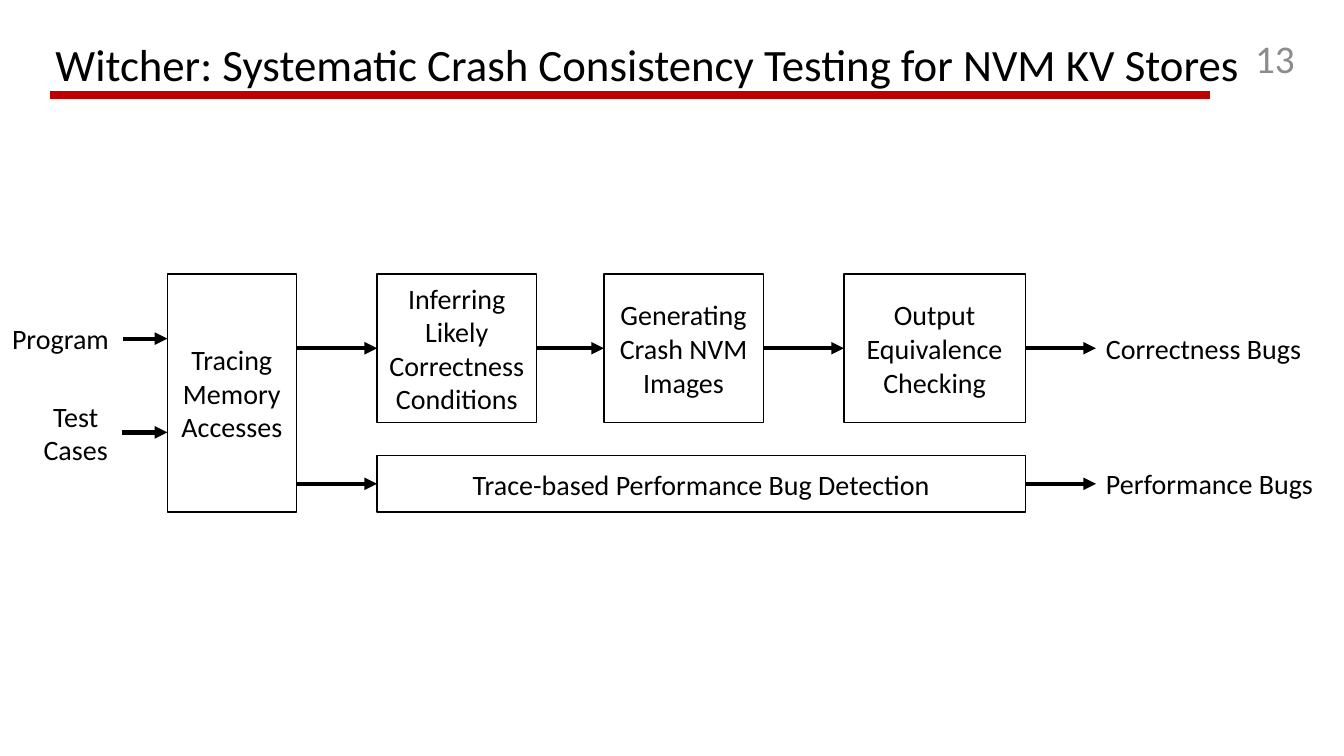
import pptx
import pptx.util
import pptx.dml.color
import pptx.enum.shapes
import pptx.enum.text
import pptx.oxml.ns
import lxml.etree

COLS, ROWS = 133.3, 75  # grid cells across and down the slide
ALIGN = pptx.enum.text.PP_ALIGN
ANCHOR = pptx.enum.text.MSO_ANCHOR
FIT = pptx.enum.text.MSO_AUTO_SIZE


def color(value):
    return pptx.dml.color.RGBColor.from_string(value)


class Diagram:
    font, ink, paper = "Calibri", "000000", "FFFFFF"
    size = 20

    def __init__(self, prs):
        self.slide = prs.slides.add_slide(prs.slide_layouts[5])
        self.shapes = self.slide.shapes
        self.col = prs.slide_width / COLS
        self.row = prs.slide_height / ROWS

    def grid(self, *cells):
        """Turn alternating columns and rows into slide lengths."""
        return [round(c * (self.row if i % 2 else self.col)) for i, c in enumerate(cells)]

    def set_text(self, sp, text, align, anchor, size=None, ink=None, fit=FIT.NONE):
        tf = sp.text_frame
        tf.text = text
        tf.word_wrap = True
        tf.auto_size = fit
        tf.vertical_anchor = anchor
        for p in tf.paragraphs:
            p.alignment = align
            p.font.name = self.font
            p.font.size = pptx.util.Pt(size or self.size)
            p.font.color.rgb = color(ink or self.ink)

    def title(self, text, *cells):
        sp = self.shapes.title
        sp.left, sp.top, sp.width, sp.height = self.grid(*cells)
        self.set_text(sp, text, ALIGN.LEFT, ANCHOR.BOTTOM, size=32)
        sp.text_frame.paragraphs[0].line_spacing = 0.9

    def label(self, text, cells, align=ALIGN.LEFT, anchor=ANCHOR.TOP, **style):
        sp = self.shapes.add_textbox(*self.grid(*cells))
        self.set_text(sp, text, align, anchor, **style)

    def box(self, text, *cells):
        sp = self.shapes.add_shape(pptx.enum.shapes.MSO_SHAPE.RECTANGLE, *self.grid(*cells))
        sp.shadow.inherit = False
        sp.fill.solid()
        sp.fill.fore_color.rgb = color(self.paper)
        sp.line.color.rgb = color(self.ink)
        sp.line.width = pptx.util.Pt(1)
        self.set_text(sp, text, ALIGN.CENTER, ANCHOR.MIDDLE)
        return sp

    def line(self, x1, x2, y, ink=None, width=3):
        sp = self.shapes.add_connector(
            pptx.enum.shapes.MSO_CONNECTOR.STRAIGHT, *self.grid(x1, y, x2, y))
        sp.line.color.rgb = color(ink or self.ink)
        sp.line.width = pptx.util.Pt(width)
        lxml.etree.SubElement(sp._element.spPr, pptx.oxml.ns.qn("a:effectLst"))
        return sp

    def arrow(self, x1, x2, y, start=None, end=None):
        sp = self.line(x1, x2, y)
        ln = sp._element.spPr.find(pptx.oxml.ns.qn("a:ln"))
        lxml.etree.SubElement(ln, pptx.oxml.ns.qn("a:tailEnd"), type="triangle")
        if start:
            sp.begin_connect(start, 3)
        if end:
            sp.end_connect(end, 1)


def main():
    prs = pptx.Presentation()
    prs.slide_width = pptx.util.Inches(13.33)
    prs.slide_height = pptx.util.Inches(7.5)
    d = Diagram(prs)

    # Heading, rule and slide number
    d.line(5, 120, 9.4, ink="C00000", width=6)
    d.title("Witcher: Systematic Crash Consistency Testing for NVM KV Stores", 4.5, 4, 120, 5.6)
    d.label("13", (121.7, 2.6, 7.7, 6.3), ALIGN.RIGHT, ANCHOR.MIDDLE, size=28, ink="8C8C8C")

    # Inputs and tracing
    trace_left, trace_right, top, bottom = 16.6, 29.4, 27.2, 50.8
    d.box("Tracing\nMemory\nAccesses", trace_left, top, trace_right - trace_left, bottom - top)
    inputs = [("Program", (-0.2, 31.4, 12.4, 4.4), 33.6),
              ("Test Cases", (2.9, 39.1, 9.2, 7.7), 42.9)]
    for text, cells, y in inputs:
        d.label(text, cells, ALIGN.CENTER, fit=FIT.SHAPE_TO_FIT_TEXT)
        d.arrow(cells[0] + cells[2], trace_left, y)

    # Two pipelines of (text, left, width), each ending in a kind of bug
    steps = [("Inferring Likely Correctness Conditions", 37.4, 15.8),
             ("Generating Crash NVM Images", 59.9, 15.8),
             ("Output Equivalence Checking", 83.7, 18)]
    detection = [("Trace-based Performance Bug Detection", 37.4, 64.3)]
    bugs_left = 108.7
    pipelines = [(steps, top, 14.7, "Correctness Bugs", 21.7),
                 (detection, 45.2, 5.6, "Performance Bugs", 24.5)]
    for boxes, y, height, bugs, bugs_width in pipelines:
        middle = y + height / 2
        previous, right = None, trace_right
        for text, left, width in boxes:
            sp = d.box(text, left, y, width, height)
            d.arrow(right, left, middle, previous, sp)
            previous, right = sp, left + width
        d.arrow(right, bugs_left, middle, previous)
        d.label(bugs, (bugs_left, middle - 2.2, bugs_width, 4.4), fit=FIT.SHAPE_TO_FIT_TEXT)

    prs.save("out.pptx")


if __name__ == "__main__":
    main()
